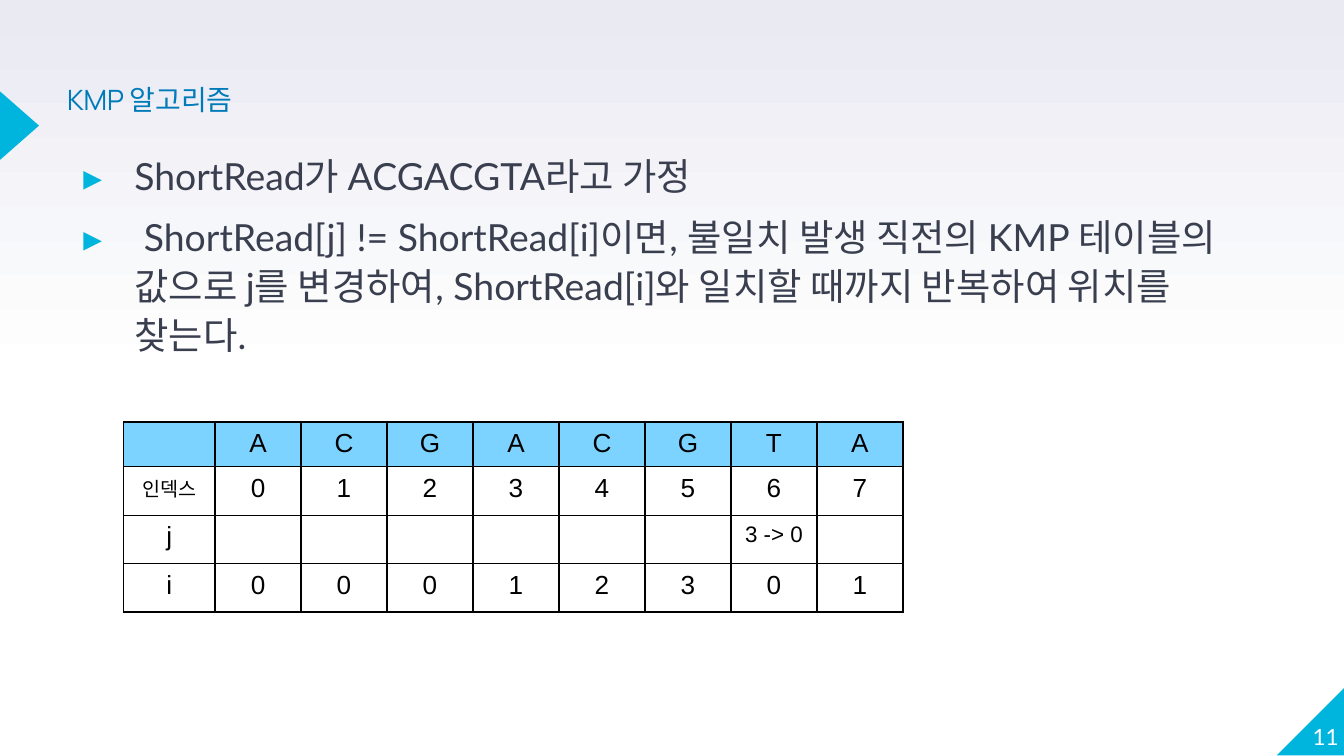
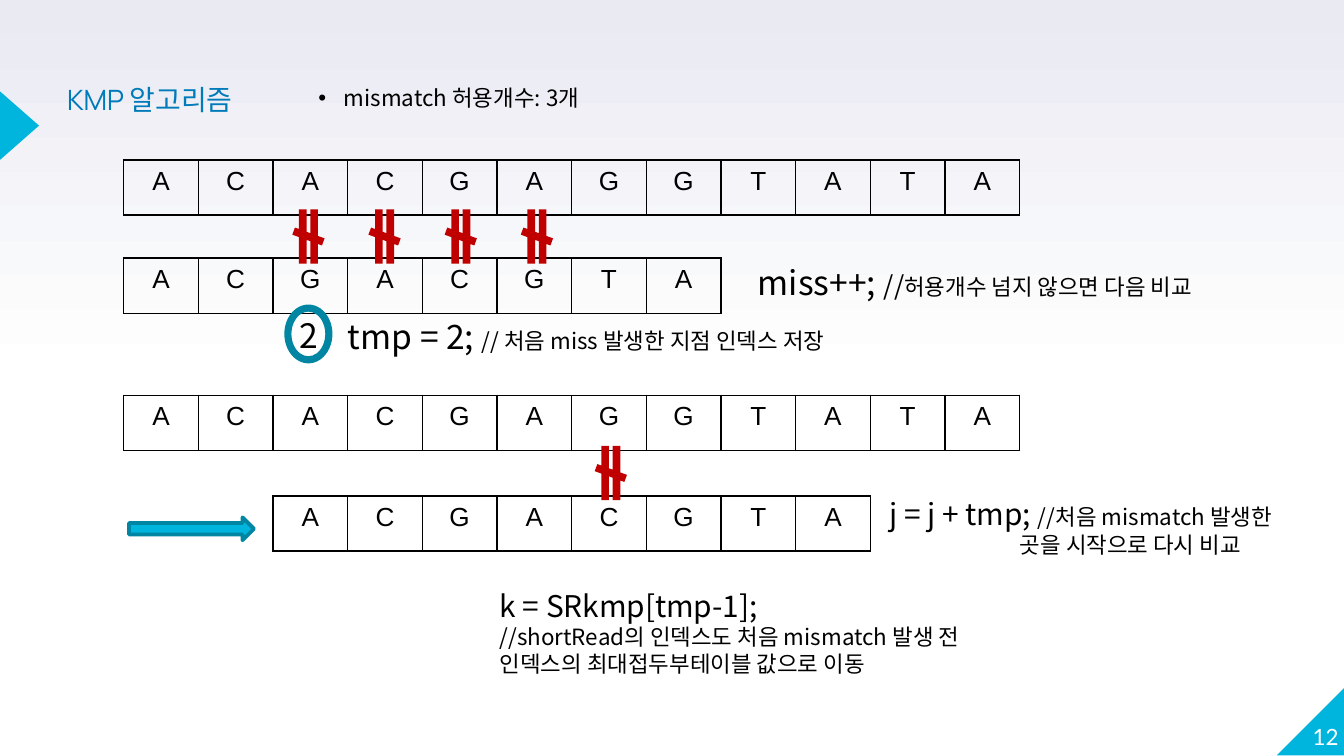
import copy
from dataclasses import dataclass
from typing import Optional

import lxml.etree
import pptx
import pptx.dml.color
import pptx.enum.shapes
import pptx.enum.text
import pptx.oxml.ns
import pptx.slide
import pptx.util

Inches = pptx.util.Inches
Pt = pptx.util.Pt
qn = pptx.oxml.ns.qn
SHAPE = pptx.enum.shapes.MSO_SHAPE
ALIGN = pptx.enum.text.PP_ALIGN
ANCHOR = pptx.enum.text.MSO_ANCHOR
AUTO = pptx.enum.text.MSO_AUTO_SIZE

COLORS = {
    "accent": "00B5DD",
    "accent_dark": "0086A3",
    "title": "007BB9",
    "body": "3A3F50",
    "header": "7DD3FF",
    "mismatch": "C00000",
    "black": "000000",
    "white": "FFFFFF",
    "haze": "E9EAF2",
}
NOTE_FONT = "Noto Sans CJK KR"
TABLE_FONT = "Arial"
TABLE_LEFT = 0.92
BASE_WIDTH = 6.67 / 12
BASE_HEIGHT = 0.41


@dataclass
class Span:
    text: str
    size: float


@dataclass
class Para:
    spans: list[Span]
    margin: float = 0
    hanging: float = 0
    bullet: str = ""
    bullet_font: str = TABLE_FONT
    bullet_color: str = ""
    line_spacing: Optional[float] = None
    space_before: Optional[float] = None
    align: Optional[ALIGN] = None


@dataclass
class Block:
    """A text box: place, font and paragraphs."""
    left: float
    top: float
    width: float
    height: float
    paras: list[Para]
    font: str = NOTE_FONT
    color: str = "black"
    inset: bool = True
    anchor: ANCHOR = ANCHOR.TOP


@dataclass
class Figure:
    """A preset shape; without a line colour it has no outline."""
    kind: SHAPE
    left: float
    top: float
    width: float
    height: float
    fill: str = "accent"
    line: str = ""
    rotation: float = 0
    flipped: bool = False
    adjustment: Optional[float] = None


@dataclass
class Grid:
    left: float
    top: float
    widths: list[float]
    heights: list[float]
    rows: list[list[str]]
    header: bool = False


def rgb(name: str) -> pptx.dml.color.RGBColor:
    return pptx.dml.color.RGBColor.from_string(COLORS[name])


def style_font(font, name: str, size: Optional[float], color: str) -> None:
    font.name = name
    font.color.rgb = rgb(color)
    if size:
        font.size = Pt(size)


def add_bullet(properties, para: Para) -> None:
    if para.bullet_color:
        holder = lxml.etree.SubElement(properties, qn("a:buClr"))
        lxml.etree.SubElement(holder, qn("a:srgbClr"), val=COLORS[para.bullet_color])
    lxml.etree.SubElement(properties, qn("a:buFont"), typeface=para.bullet_font)
    lxml.etree.SubElement(properties, qn("a:buChar"), char=para.bullet)


def draw_text(page: pptx.slide.Slide, block: Block) -> None:
    box = page.shapes.add_textbox(Inches(block.left), Inches(block.top),
                                  Inches(block.width), Inches(block.height))
    frame = box.text_frame
    frame.word_wrap = True
    frame.vertical_anchor = block.anchor
    if block.inset:
        frame.auto_size = AUTO.SHAPE_TO_FIT_TEXT
    else:
        frame.margin_left = frame.margin_right = 0
        frame.margin_top = frame.margin_bottom = 0
    for index, para in enumerate(block.paras):
        paragraph = frame.add_paragraph() if index else frame.paragraphs[0]
        properties = paragraph._p.get_or_add_pPr()
        if para.margin:
            properties.set("marL", str(Inches(para.margin)))
            properties.set("indent", str(Inches(-para.hanging)))
        if para.bullet:
            add_bullet(properties, para)
        if para.line_spacing:
            paragraph.line_spacing = para.line_spacing
        if para.space_before:
            paragraph.space_before = Pt(para.space_before)
        if para.align is not None:
            paragraph.alignment = para.align
        same_size = len({span.size for span in para.spans}) == 1
        style_font(paragraph.font, block.font,
                   para.spans[0].size if same_size else None, block.color)
        # Korean letters and the gaps between them
        lxml.etree.SubElement(properties.find(qn("a:defRPr")), qn("a:ea"),
                              typeface=NOTE_FONT)
        for span in para.spans:
            run = paragraph.add_run()
            run.text = span.text
            if not same_size:
                run.font.size = Pt(span.size)


def draw_figure(page: pptx.slide.Slide, figure: Figure) -> None:
    shape = page.shapes.add_shape(figure.kind, Inches(figure.left), Inches(figure.top),
                                  Inches(figure.width), Inches(figure.height))
    shape.shadow.inherit = False
    shape.rotation = figure.rotation
    shape.fill.solid()
    shape.fill.fore_color.rgb = rgb(figure.fill)
    if figure.line:
        shape.line.color.rgb = rgb(figure.line)
        shape.line.width = Pt(2)
    else:
        shape.line.fill.background()
    if figure.flipped:
        shape.element.spPr.find(qn("a:xfrm")).set("flipH", "1")
    if figure.adjustment is not None:
        shape.adjustments[0] = figure.adjustment


def add_borders(cell) -> None:
    properties = cell._tc.get_or_add_tcPr()
    for position, side in enumerate(("a:lnL", "a:lnR", "a:lnT", "a:lnB")):
        line = lxml.etree.Element(qn(side), w=str(Pt(0.75)))
        fill = lxml.etree.SubElement(line, qn("a:solidFill"))
        lxml.etree.SubElement(fill, qn("a:srgbClr"), val=COLORS["black"])
        properties.insert(position, line)


def cell_size(text: str) -> float:
    return {"인덱스": 10.5, "3 -> 0": 12}.get(text, 14)


def draw_grid(page: pptx.slide.Slide, grid: Grid) -> None:
    table = page.shapes.add_table(
        len(grid.heights), len(grid.widths), Inches(grid.left), Inches(grid.top),
        Inches(sum(grid.widths)), Inches(sum(grid.heights))).table
    table.first_row = table.horz_banding = False
    for column, width in zip(table.columns, grid.widths):
        column.width = Inches(width)
    for row, height in zip(table.rows, grid.heights):
        row.height = Inches(height)
    for row_index, texts in enumerate(grid.rows):
        for column_index, text in enumerate(texts):
            cell = table.cell(row_index, column_index)
            if grid.header and row_index == 0:
                cell.fill.solid()
                cell.fill.fore_color.rgb = rgb("header")
            else:
                cell.fill.background()
            add_borders(cell)
            paragraph = cell.text_frame.paragraphs[0]
            paragraph.alignment = ALIGN.CENTER
            style_font(paragraph.font, TABLE_FONT, cell_size(text), "black")
            if text:
                paragraph.add_run().text = text
            else:
                # Keeps an empty cell from stretching its row
                ending = lxml.etree.SubElement(paragraph._p, qn("a:endParaRPr"), sz="1400")
                lxml.etree.SubElement(ending, qn("a:latin"), typeface=TABLE_FONT)


def draw_bases(page: pptx.slide.Slide, bases: str, top: float, shift: int = 0) -> None:
    """One row of bases, moved right by a number of cells."""
    draw_grid(page, Grid(TABLE_LEFT + shift * BASE_WIDTH, top,
                         [BASE_WIDTH] * len(bases), [BASE_HEIGHT], [list(bases)]))


def draw_mismatch(page: pptx.slide.Slide, left: float, top: float) -> None:
    draw_figure(page, Figure(SHAPE.MATH_NOT_EQUAL, left, top, 0.55, 0.24,
                             fill="mismatch", rotation=90))


def paint_background(page: pptx.slide.Slide) -> None:
    fill = page.background.fill
    fill.gradient()
    fill.gradient_angle = 90
    stops = page.element.find(".//" + qn("a:gsLst"))
    stops.insert(1, copy.deepcopy(stops[0]))
    for stop, position, color in zip(fill.gradient_stops, (0, 0.5, 1),
                                     ("white", "white", "haze")):
        stop.position = position
        stop.color.rgb = rgb(color)


def add_page(deck, number: int) -> pptx.slide.Slide:
    """A page with background, corner, marker, title and number."""
    page = deck.slides.add_slide(deck.slide_layouts[6])
    paint_background(page)
    draw_figure(page, Figure(SHAPE.RIGHT_TRIANGLE, 9.5, 5.11, 0.51, 0.51, flipped=True))
    draw_figure(page, Figure(SHAPE.ISOSCELES_TRIANGLE, -0.11, 0.79, 0.51, 0.29, rotation=90))
    draw_text(page, Block(0.5, 0.66, 1.84, 0.31,
                          [Para([Span("KMP 알고리즘", 15)], line_spacing=0.8)],
                          "Manrope", "title", inset=False))
    draw_text(page, Block(9.46, 5.07, 0.5, 0.51,
                          [Para([Span(str(number), 12)], align=ALIGN.RIGHT)],
                          "Lato", "white", inset=False, anchor=ANCHOR.BOTTOM))
    return page


def build_table_page(deck) -> None:
    page = add_page(deck, 11)
    points = [
        "ShortRead가 ACGACGTA라고 가정",
        " ShortRead[j] != ShortRead[i]이면, 불일치 발생 직전의 KMP 테이블의 값으로 "
        "j를 변경하여, ShortRead[i]와 일치할 때까지 반복하여 위치를 찾는다.",
    ]
    paras = [Para([Span(point, 20)], 0.5, 0.38, "▸", "Lato", "accent", 1.1, 6)
             for point in points]
    draw_text(page, Block(0.5, 1.11, 8.96, 1.89, paras, "Lato", "body", inset=False))
    rows = [
        ["", *"ACGACGTA"],
        ["인덱스", *"01234567"],
        ["j", "", "", "", "", "", "", "3 -> 0", ""],
        ["i", *"00012301"],
    ]
    draw_grid(page, Grid(TABLE_LEFT, 3.14, [0.68] + [0.64] * 8,
                         [0.3] + [0.36] * 3, rows, header=True))


def build_mismatch_page(deck) -> None:
    page = add_page(deck, 12)
    reference, short_read = "ACACGAGGTATA", "ACGACGTA"

    # First comparison: four mismatches
    draw_bases(page, reference, 1.19)
    draw_bases(page, short_read, 1.92)
    for index in range(4):
        draw_mismatch(page, 2.02 + index * 1.7 / 3, 1.64)

    # Second comparison: the read moved by two
    draw_bases(page, reference, 2.94)
    draw_bases(page, short_read, 3.69, shift=2)
    draw_mismatch(page, 4.27, 3.4)
    draw_figure(page, Figure(SHAPE.RIGHT_ARROW, 0.96, 3.85, 0.93, 0.17, line="accent_dark"))

    # Notes
    notes = [
        Block(2.27, 0.58, 2.39, 0.3,
              [Para([Span("mismatch 허용개수: 3개", 12)], 0.19, 0.19, "•")]),
        Block(5.54, 1.9, 4.09, 0.4,
              [Para([Span("miss++; ", 18), Span("//", 14),
                     Span("허용개수 넘지 않으면 다음 비교", 12)])]),
        Block(2.13, 2.29, 0.33, 0.41, [Para([Span("2", 18)])]),
        Block(2.49, 2.3, 4.29, 0.4,
              [Para([Span("tmp = 2; ", 18),
                     Span("// 처음 miss 발생한 지점 인덱스 저장", 12)])]),
        Block(6.52, 3.64, 3.29, 0.57,
              [Para([Span("j = j + tmp; ", 16), Span("//처음 mismatch 발생한", 12)]),
               Para([Span("곳을 시작으로 다시 비교", 12)], margin=0.97)]),
        Block(3.62, 4.32, 4.09, 0.77,
              [Para([Span("k = SRkmp[tmp-1];", 16)]),
               Para([Span("//shortRead의 인덱스도 처음 mismatch 발생 전 "
                          "인덱스의 최대접두부테이블 값으로 이동", 12)])]),
    ]
    for note in notes:
        draw_text(page, note)

    # Ring around the stored index
    draw_figure(page, Figure(SHAPE.DONUT, 2.13, 2.28, 0.33, 0.41,
                             line="accent_dark", adjustment=0.076))


deck = pptx.Presentation()
deck.slide_width = Inches(10)
deck.slide_height = deck.slide_width * 9 // 16
build_table_page(deck)
build_mismatch_page(deck)
deck.save("out.pptx")
